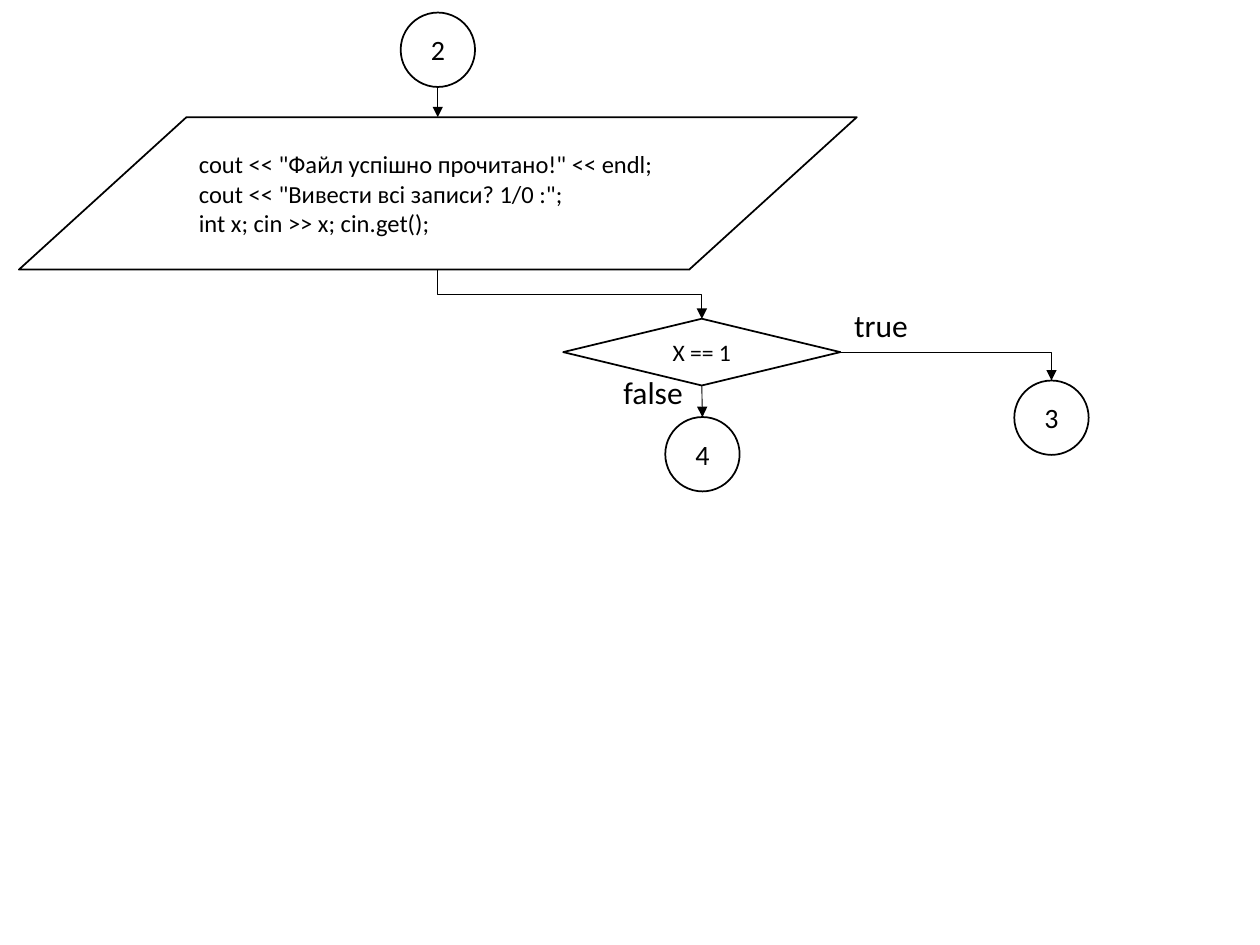
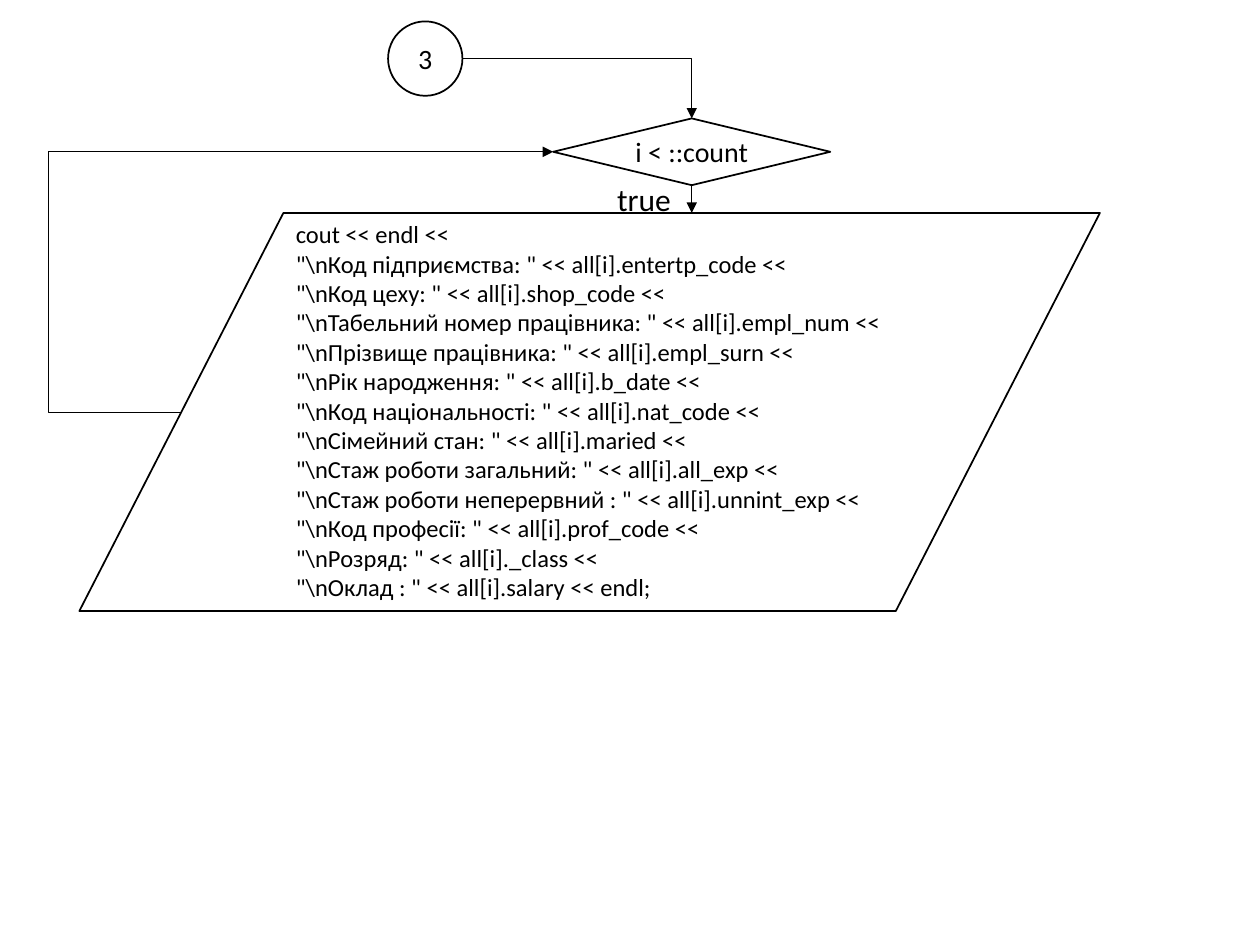
from lxml.etree import SubElement
from pptx import Presentation
from pptx.dml.color import RGBColor
from pptx.enum.shapes import MSO_CONNECTOR, MSO_SHAPE
from pptx.enum.text import MSO_ANCHOR, MSO_AUTO_SIZE, PP_ALIGN
from pptx.oxml.ns import qn
from pptx.util import Inches, Pt

FONT, INK, PAPER = "Calibri", "000000", "FFFFFF"
CIRCLE, DIAMOND = (0.59, 0.59), (2.2, 0.53)

# Printed fields of an employee record: label, member of the structure
FIELDS = [
    ("Код підпpиємства: ", "entertp_code"),
    ("Код цеху: ", "shop_code"),
    ("Табельний номеp пpацівника: ", "empl_num"),
    ("Пpізвище пpацівника: ", "empl_surn"),
    ("Рік наpодження: ", "b_date"),
    ("Код національності: ", "nat_code"),
    ("Сімейний стан: ", "maried"),
    ("Стаж pоботи загальний: ", "all_exp"),
    ("Стаж pоботи непеpеpвний : ", "unnint_exp"),
    ("Код пpофесії: ", "prof_code"),
    ("Розpяд: ", "_class"),
    ("Оклад : ", "salary"),
]
RECORD = ["cout << endl <<"] + [f'"\\n{label}" << all[i].{member} <<' for label, member in FIELDS]
RECORD[-1] += " endl;"
QUESTION = [
    'cout << "Файл успішно прочитано!" << endl;',
    'cout << "Вивести всі записи? 1/0 :";',
    "int x; cin >> x; cin.get();",
]

# nodes: name -> (kind, left, top, size, lines, text size)
# arrows: (from node, port, to node, port, route, optional x of the turn)
# labels: (text, left, top, width)
CHARTS = [
    {
        "nodes": {
            "ask": ("data", 0.15, 0.93, (6.65, 1.21), QUESTION, 14),
            "start": ("circle", 3.18, 0.1, CIRCLE, ["2"], 16),
            "choice": ("diamond", 4.47, 2.53, DIAMOND, ["X == 1"], 13.5),
            "yes": ("circle", 8.05, 3.02, CIRCLE, ["3"], 16),
            "no": ("circle", 5.28, 3.31, CIRCLE, ["4"], 16),
        },
        "arrows": [
            ("start", "bottom", "ask", "top", "down"),
            ("ask", "bottom", "choice", "top", "down"),
            ("choice", "right", "yes", "top", "corner"),
            ("choice", "bottom", "no", "top", "straight"),
        ],
        "labels": [("false", 4.85, 2.91, 0.73), ("true", 6.68, 2.38, 0.93)],
    },
    {
        "nodes": {
            "loop": ("diamond", 4.39, 0.94, DIAMOND, ["i < ::count"], 16),
            "start": ("circle", 3.08, 0.17, CIRCLE, ["3"], 16),
            "print": ("listing", 0.63, 1.69, (8.1, 3.16), RECORD, 14),
        },
        "arrows": [
            ("start", "right", "loop", "top", "corner"),
            ("print", "slant left", "loop", "left", "across", 0.38),
            ("loop", "bottom", "print", "slant top", "straight"),
        ],
        "labels": [("true", 4.8, 1.38, 0.93)],
    },
]

OUTLINES = {
    "data": MSO_SHAPE.FLOWCHART_DATA,
    "listing": MSO_SHAPE.FLOWCHART_DATA,
    "circle": MSO_SHAPE.OVAL,
    "diamond": MSO_SHAPE.FLOWCHART_DECISION,
}
# Ports as shares of a node's width and height
PORTS = {
    "top": (0.5, 0), "bottom": (0.5, 1), "left": (0, 0.5), "right": (1, 0.5),
    "slant top": (0.6, 0), "slant left": (0.1, 0.5),
}


def color(value):
    return RGBColor.from_string(value)


def write(frame, lines, size, align):
    for number, line in enumerate(lines):
        paragraph = frame.add_paragraph() if number else frame.paragraphs[0]
        paragraph.alignment = align
        run = paragraph.add_run()
        run.text = line
        run.font.name, run.font.size = FONT, Pt(size)
        run.font.color.rgb = color(INK)


def add_node(slide, kind, left, top, size, lines, text_size):
    shape = slide.shapes.add_shape(OUTLINES[kind], *map(Inches, (left, top, *size)))
    shape.shadow.inherit = False
    shape.fill.solid()
    shape.fill.fore_color.rgb = color(PAPER)
    shape.line.color.rgb = color(INK)
    shape.line.width = Pt(1)
    frame = shape.text_frame
    frame.word_wrap = kind != "listing"
    frame.vertical_anchor = MSO_ANCHOR.MIDDLE
    if kind == "listing":
        frame.vertical_anchor = MSO_ANCHOR.TOP
        frame.auto_size = MSO_AUTO_SIZE.SHAPE_TO_FIT_TEXT
    if kind == "circle":
        frame.margin_left = frame.margin_right = Inches(0.07)
        frame.margin_top = frame.margin_bottom = Inches(0.04)
    centred = kind in ("circle", "diamond")
    write(frame, lines, text_size, PP_ALIGN.CENTER if centred else PP_ALIGN.LEFT)


def port_position(node, port):
    _, left, top, (width, height), *_ = node
    share_x, share_y = PORTS[port]
    return left + share_x * width, top + share_y * height


def add_arrow(slide, start, end, route, turn=None):
    kind = MSO_CONNECTOR.STRAIGHT if route == "straight" else MSO_CONNECTOR.ELBOW
    connector = slide.shapes.add_connector(kind, *map(Inches, (*start, *end)))
    properties = connector.element.spPr
    geometry = properties.find(qn("a:prstGeom"))
    if route == "corner":
        geometry.set("prst", "bentConnector2")
    if route == "down":  # vertical first: a mirrored elbow turned by 270 degrees
        width, height = end[1] - start[1], end[0] - start[0]
        connector.left = Inches((start[0] + end[0] - width) / 2)
        connector.top = Inches((start[1] + end[1] - height) / 2)
        connector.width, connector.height = Inches(width), Inches(height)
        transform = properties.find(qn("a:xfrm"))
        transform.set("rot", str(270 * 60000))
        transform.set("flipH", "1")
    if turn is not None:
        share = (turn - start[0]) / (end[0] - start[0])
        SubElement(geometry.find(qn("a:avLst")), qn("a:gd"),
                   name="adj1", fmla=f"val {round(share * 100000)}")
    connector.line.color.rgb = color(INK)
    connector.line.width = Pt(0.5)
    SubElement(properties.find(qn("a:ln")), qn("a:tailEnd"), type="triangle")
    SubElement(properties, qn("a:effectLst"))


def add_label(slide, text, left, top, width):
    frame = slide.shapes.add_textbox(*map(Inches, (left, top, width, 0.4))).text_frame
    frame.word_wrap = True
    frame.auto_size = MSO_AUTO_SIZE.SHAPE_TO_FIT_TEXT
    write(frame, [text], 18, PP_ALIGN.LEFT)


presentation = Presentation()
presentation.slide_width, presentation.slide_height = Inches(10), Inches(7.5)
for chart in CHARTS:
    slide = presentation.slides.add_slide(presentation.slide_layouts[6])
    nodes = chart["nodes"]
    for node in nodes.values():
        add_node(slide, *node)
    for source, source_port, target, target_port, *route in chart["arrows"]:
        add_arrow(slide, port_position(nodes[source], source_port),
                  port_position(nodes[target], target_port), *route)
    for label in chart["labels"]:
        add_label(slide, *label)
presentation.save("out.pptx")
